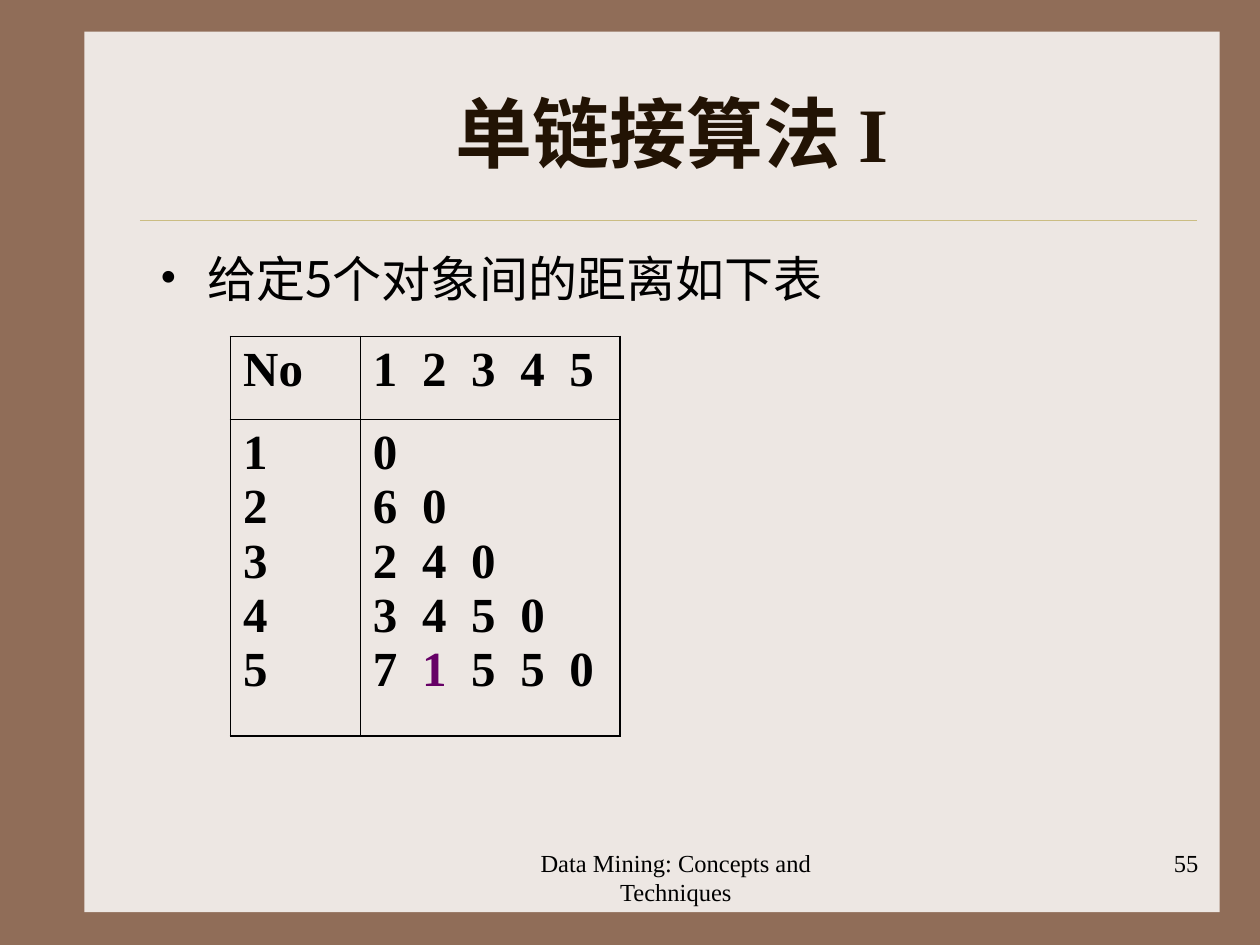
from pptx import Presentation
from pptx.dml.color import RGBColor
from pptx.enum.shapes import MSO_CONNECTOR, MSO_SHAPE
from pptx.enum.text import MSO_ANCHOR, PP_ALIGN
from pptx.oxml.ns import qn
from pptx.util import Inches, Pt
from lxml.etree import SubElement

SANS = "Noto Sans CJK SC"
SERIF = "Times New Roman"
DISTANCES = ["0", "60", "240", "3450", "71550"]
DIGIT_STEP = 0.39


def rgb(value):
    return RGBColor.from_string(value)


def add_run(p, text, size=28, font=SERIF, color="000000", bold=False):
    r = p.add_run()
    r.text = text
    r.font.size = Pt(size)
    r.font.name = font
    r.font.bold = bold
    r.font.color.rgb = rgb(color)
    SubElement(r.font._element, qn("a:ea"), typeface=font)


def add_text_box(s, box, align=PP_ALIGN.LEFT, anchor=MSO_ANCHOR.TOP):
    tf = s.shapes.add_textbox(*map(Inches, box)).text_frame
    tf.word_wrap = True
    tf.vertical_anchor = anchor
    p = tf.paragraphs[0]
    p.alignment = align
    return p


def add_panel(s, box):
    sp = s.shapes.add_shape(MSO_SHAPE.RECTANGLE, *map(Inches, box))
    sp.shadow.inherit = False
    sp.fill.solid()
    sp.fill.fore_color.rgb = rgb("EDE7E3")
    sp.line.fill.background()


def add_rule(s, left, top, width):
    line = s.shapes.add_connector(
        MSO_CONNECTOR.STRAIGHT, Inches(left), Inches(top), Inches(left + width), Inches(top)
    )
    line.line.color.rgb = rgb("CBBD83")
    line.line.width = Pt(0.25)
    SubElement(line._element.spPr, qn("a:effectLst"))


def add_title(s, box):
    p = add_text_box(s, box, PP_ALIGN.CENTER, MSO_ANCHOR.MIDDLE)
    add_run(p, "单链接算法 ", size=44, font=SANS, color="221304", bold=True)
    add_run(p, "I", size=44, color="221304", bold=True)


def add_body(s, box):
    p = add_text_box(s, box)
    pPr = p._p.get_or_add_pPr()
    pPr.set("marL", str(Inches(0.38)))
    pPr.set("indent", str(-Inches(0.38)))
    SubElement(pPr, qn("a:buFont"), typeface=SERIF)
    SubElement(pPr, qn("a:buChar"), char="•")
    add_run(p, "给定5个对象间的距离如下表", font=SANS)


def add_footer(s, box, text, align):
    add_run(add_text_box(s, box, align), text, size=14)


def set_borders(cell, widths):
    tcPr = cell._tc.get_or_add_tcPr()
    for side, width in zip("LRTB", widths):
        ln = SubElement(tcPr, qn(f"a:ln{side}"), w=str(Pt(width)))
        fill = SubElement(ln, qn("a:solidFill"))
        SubElement(fill, qn("a:srgbClr"), val="000000")


def fill_cell(cell, rows, marked=None):
    tf = cell.text_frame
    for i, row in enumerate(rows):
        p = tf.paragraphs[0] if i == 0 else tf.add_paragraph()
        tabs = SubElement(p._p.get_or_add_pPr(), qn("a:tabLst"))
        for k in range(1, 5):
            SubElement(tabs, qn("a:tab"), pos=str(Inches(DIGIT_STEP * k)), algn="l")
        for j, value in enumerate(row):
            text = f"\t{value}" if j else value
            add_run(p, text, color="660066" if (i, j) == marked else "000000", bold=True)


def add_distance_table(s, box):
    table = s.shapes.add_table(2, 2, *map(Inches, box)).table
    table.first_row = table.horz_banding = False
    for column, width in zip(table.columns, (1.03, 2.06)):
        column.width = Inches(width)
    for row, height in zip(table.rows, (0.66, 2.51)):
        row.height = Inches(height)
    outer, inner = 1.08, 0.45
    edges = [(outer, inner), (inner, outer)]
    for i, row_edges in enumerate(edges):
        for j, column_edges in enumerate(edges):
            cell = table.cell(i, j)
            set_borders(cell, column_edges + row_edges)
            cell.fill.background()
    fill_cell(table.cell(0, 0), [["No"]])
    fill_cell(table.cell(0, 1), ["12345"])
    fill_cell(table.cell(1, 0), "12345")
    fill_cell(table.cell(1, 1), DISTANCES, marked=(4, 1))


def main():
    prs = Presentation()
    prs.slide_width, prs.slide_height = Inches(10), Inches(7.5)
    s = prs.slides.add_slide(prs.slide_layouts[6])
    s.background.fill.solid()
    s.background.fill.fore_color.rgb = rgb("906D58")
    add_panel(s, (0.67, 0.25, 9.01, 6.99))
    add_rule(s, 1.11, 1.75, 8.39)
    add_footer(s, (3.78, 6.68, 3.17, 0.5), "Data Mining: Concepts and Techniques", PP_ALIGN.CENTER)
    add_footer(s, (7.53, 6.68, 2.08, 0.5), "55", PP_ALIGN.RIGHT)
    add_title(s, (1.17, 0.42, 8.33, 1.25))
    add_body(s, (1.17, 1.92, 7.33, 4.5))
    add_distance_table(s, (1.83, 2.67, 3.09, 3.17))
    prs.save("out.pptx")


if __name__ == "__main__":
    main()
